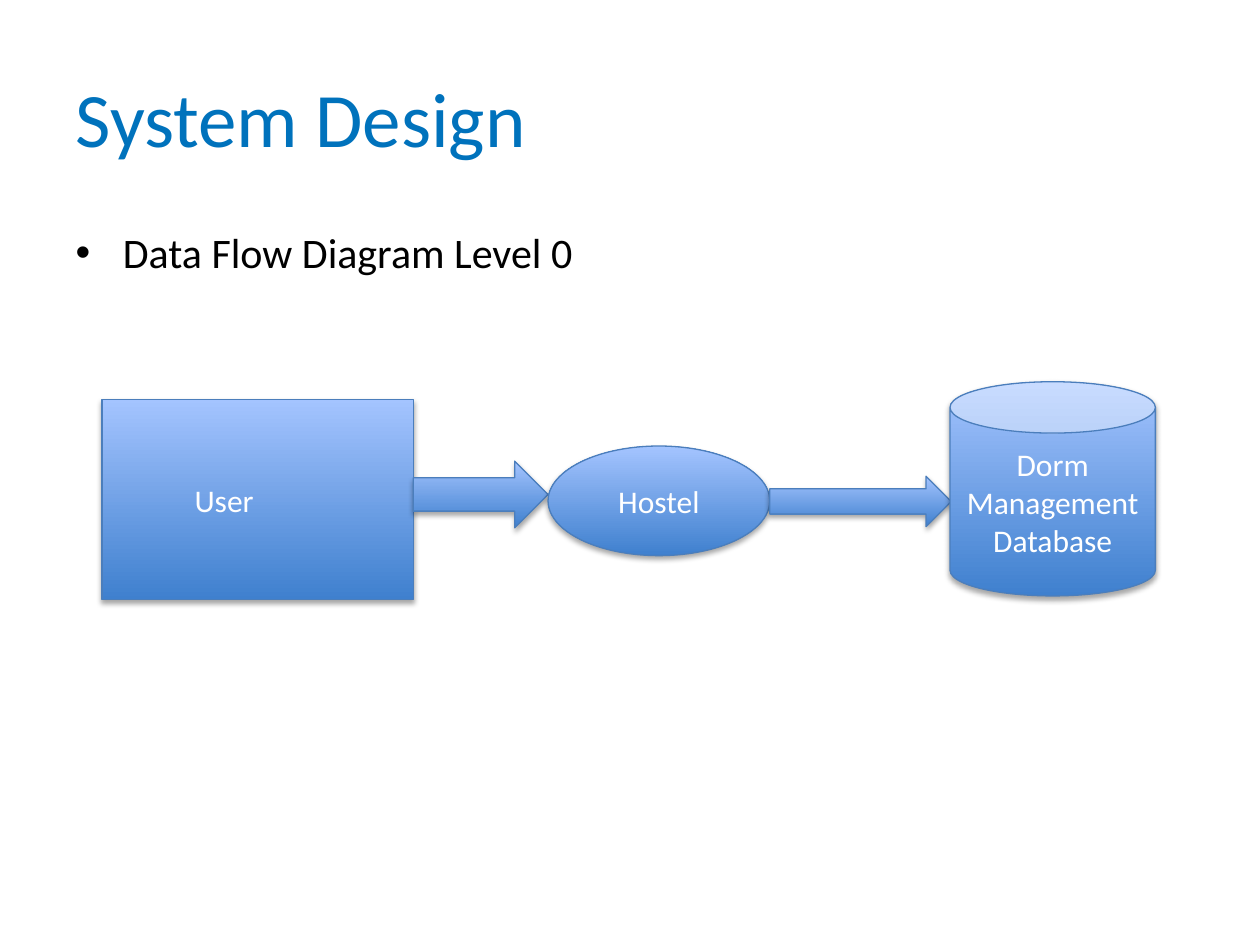
"""Build the System Design slide with its level 0 data flow diagram."""
from dataclasses import dataclass

from lxml.etree import SubElement
from pptx import Presentation
from pptx.dml.color import RGBColor
from pptx.enum.shapes import MSO_SHAPE
from pptx.enum.text import MSO_ANCHOR, PP_ALIGN
from pptx.oxml.ns import qn
from pptx.shapes.autoshape import Shape
from pptx.slide import Slide
from pptx.util import Inches, Pt


@dataclass(frozen=True)
class Theme:
    font: str = "Calibri"
    title_size: Pt = Pt(44)
    body_size: Pt = Pt(24)
    label_size: Pt = Pt(18)
    title: RGBColor = RGBColor(0x00, 0x72, 0xBC)
    body: RGBColor = RGBColor(0x00, 0x00, 0x00)
    label: RGBColor = RGBColor(0xFF, 0xFF, 0xFF)
    bottom: RGBColor = RGBColor(0x3F, 0x80, 0xCE)
    top: RGBColor = RGBColor(0xA4, 0xC4, 0xFF)
    outline: RGBColor = RGBColor(0x4B, 0x7E, 0xBC)
    shadow: str = "000000"


@dataclass(frozen=True)
class Node:
    kind: MSO_SHAPE
    left: float
    top: float
    width: float
    height: float
    label: str = ""
    right_inset: float = 0.1


THEME = Theme()
NODES = (
    Node(MSO_SHAPE.RECTANGLE, 0.81, 3.17, 2.47, 1.59, "User", right_inset=0.63),
    Node(MSO_SHAPE.RIGHT_ARROW, 3.28, 3.66, 1.07, 0.53),
    Node(MSO_SHAPE.OVAL, 4.35, 3.54, 1.76, 0.87, "Hostel"),
    Node(MSO_SHAPE.RIGHT_ARROW, 6.11, 3.78, 1.44, 0.4),
    Node(MSO_SHAPE.CAN, 7.54, 3.03, 1.63, 1.7, "Dorm Management Database"),
)


def place(shape: Shape, left: float, top: float, width: float, height: float) -> None:
    """Move and size a shape in inches."""
    shape.left, shape.top = Inches(left), Inches(top)
    shape.width, shape.height = Inches(width), Inches(height)


def write(shape: Shape, text: str, size: Pt, color: RGBColor, alignment: PP_ALIGN) -> None:
    """Put one formatted paragraph into a shape."""
    shape.text_frame.text = text
    paragraph = shape.text_frame.paragraphs[0]
    paragraph.alignment = alignment
    paragraph.space_before = Pt(0)
    paragraph.font.name = THEME.font
    paragraph.font.size = size
    paragraph.font.color.rgb = color


def add_shadow(shape: Shape) -> None:
    """Give a shape a soft shadow below it."""
    shape.shadow.inherit = False
    effects = shape.element.spPr.find(qn("a:effectLst"))
    shadow = SubElement(
        effects, qn("a:outerShdw"), blurRad=str(Pt(3.1)), dist=str(Pt(1.8)),
        dir="5400000", rotWithShape="0",
    )
    color = SubElement(shadow, qn("a:srgbClr"), val=THEME.shadow)
    SubElement(color, qn("a:alpha"), val="35000")


def add_node(slide: Slide, node: Node) -> None:
    """Draw one element of the data flow diagram."""
    shape = slide.shapes.add_shape(node.kind, 0, 0, 0, 0)
    place(shape, node.left, node.top, node.width, node.height)
    shape.fill.gradient()
    shape.fill.gradient_angle = 90
    for stop, color in zip(shape.fill.gradient_stops, (THEME.bottom, THEME.top)):
        stop.color.rgb = color
    shape.line.color.rgb = THEME.outline
    shape.line.width = Pt(0.75)
    add_shadow(shape)
    if node.label:
        frame = shape.text_frame
        frame.word_wrap = True
        frame.vertical_anchor = MSO_ANCHOR.MIDDLE
        frame.margin_right = Inches(node.right_inset)
        write(shape, node.label, THEME.label_size, THEME.label, PP_ALIGN.CENTER)


def main() -> None:
    """Create and save the presentation."""
    presentation = Presentation()
    presentation.slide_width, presentation.slide_height = Inches(10), Inches(7.5)
    slide = presentation.slides.add_slide(presentation.slide_layouts[1])
    title, body = slide.placeholders
    place(title, 0.5, 0.3, 9, 1.25)
    write(title, "System Design", THEME.title_size, THEME.title, PP_ALIGN.LEFT)
    place(body, 0.5, 1.75, 9, 4.95)
    write(body, "Data Flow Diagram Level 0", THEME.body_size, THEME.body, PP_ALIGN.LEFT)
    for node in NODES:
        add_node(slide, node)
    presentation.save("out.pptx")


if __name__ == "__main__":
    main()
